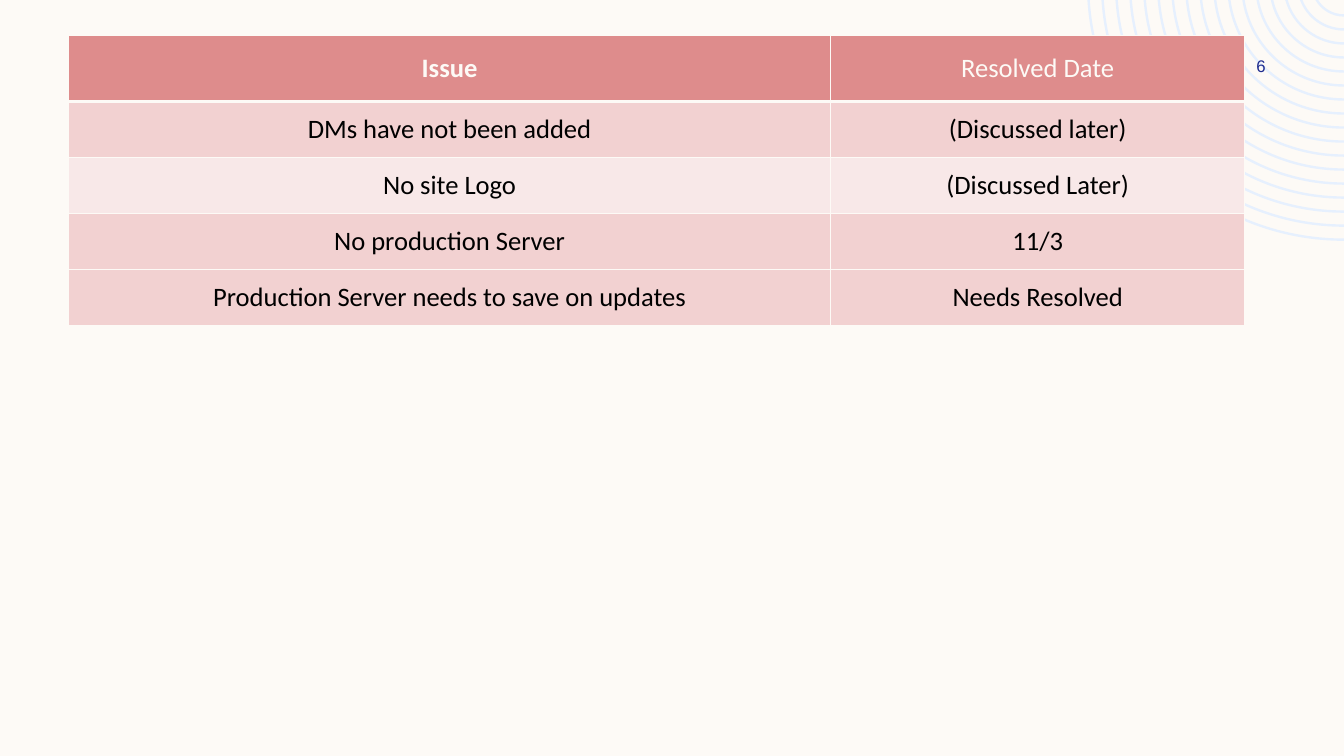
from math import asin, cos, pi, sin, tan

from lxml.etree import SubElement
from pptx import Presentation
from pptx.dml.color import RGBColor
from pptx.enum.text import MSO_ANCHOR as Anchor, PP_ALIGN as Align
from pptx.oxml.ns import qn
from pptx.util import Cm, Pt

CREAM = RGBColor(0xFD, 0xFA, 0xF6)
ROSE = RGBColor(0xDE, 0x8C, 0x8C)
PINK = RGBColor(0xF2, 0xD1, 0xD1)
BLUSH = RGBColor(0xF8, 0xE8, 0xE8)
SKY = RGBColor(0xE6, 0xF0, 0xFE)
NAVY = RGBColor(0x1F, 0x2C, 0x8F)
BLACK = RGBColor(0, 0, 0)

ROWS = [
    ("Issue", "Resolved Date"),
    ("DMs have not been added", "(Discussed later)"),
    ("No site Logo", "(Discussed Later)"),
    ("No production Server", "11/3"),
    ("Production Server needs to save on updates", "Needs Resolved"),
]


def write(frame, text, font="Calibri", size=19, color=BLACK, bold=False):
    par = frame.paragraphs[0]
    par.alignment = Align.CENTER
    run = par.add_run()
    run.text = text
    run.font.name = font
    run.font.size = Pt(size)
    run.font.bold = bold
    run.font.color.rgb = color


def edge(cell, side, width):
    line = SubElement(cell._tc.get_or_add_tcPr(), qn(f"a:ln{side}"), w=str(Pt(width)))
    fill = SubElement(line, qn("a:solidFill"))
    SubElement(fill, qn("a:srgbClr"), val=str(CREAM))


def arc(x, y, r):
    turn = asin(-y / r)
    pull = r * 4 / 3 * tan((pi / 2 - turn) / 4)
    left, low = x - r * cos(turn), y + r * sin(turn)
    spots = [(left, low), (left + pull * sin(turn), low + pull * cos(turn)),
             (x - pull, y + r), (x, y + r)]
    return [(Cm(a), Cm(b)) for a, b in spots]


def bend(shape):
    for start in list(shape._element.iter(qn("a:moveTo"))):
        lines = list(start.itersiblings(qn("a:lnTo")))[:7]
        for trio in (lines[:3], lines[4:]):
            curve = trio[0].makeelement(qn("a:cubicBezTo"))
            trio[0].addprevious(curve)
            for line in trio:
                curve.append(line[0])
                line.getparent().remove(line)


class Page:
    def __init__(self, deck):
        self.slide = deck.slides.add_slide(deck.slide_layouts[6])
        self.shapes = self.slide.shapes
        back = self.slide.background.fill
        back.solid()
        back.fore_color.rgb = CREAM

    def rings(self, x, y, least, most, count, thick):
        step = (most - least) / (count - 1)
        radii = [most - n * step for n in range(count)]
        bands = [arc(x, y, r) + arc(x, y, r - thick)[::-1] for r in radii]
        pen = self.shapes.build_freeform(*bands[0][0])
        for n, band in enumerate(bands):
            if n:
                pen.move_to(*band[0])
            pen.add_line_segments(band[1:], close=True)
        shape = pen.convert_to_shape()
        bend(shape)
        shape.shadow.inherit = False
        shape.fill.solid()
        shape.fill.fore_color.rgb = SKY
        shape.line.fill.background()

    def table(self, x, y, widths, heights, rows):
        frame = self.shapes.add_table(
            len(rows), len(widths), Cm(x), Cm(y), Cm(sum(widths)), Cm(sum(heights)))
        grid = frame.table
        for col, width in zip(grid.columns, widths):
            col.width = Cm(width)
        for n, (row, height) in enumerate(zip(rows, heights)):
            grid.rows[n].height = Cm(height)
            for m, text in enumerate(row):
                self.cell(grid.cell(n, m), text, n, m)

    def cell(self, cell, text, n, m):
        head = n == 0
        cell.vertical_anchor = Anchor.MIDDLE
        cell.margin_left = cell.margin_right = Cm(0.28)
        cell.margin_top = cell.margin_bottom = Cm(0.13)
        for side in "LRT":
            edge(cell, side, 3 if side == "T" and n == 1 else 1)
        edge(cell, "B", 3 if head else 1)
        cell.fill.solid()
        cell.fill.fore_color.rgb = ROSE if head else BLUSH if n == 2 else PINK
        write(cell.text_frame, text, color=CREAM if head else BLACK,
              bold=head and m == 0)

    def label(self, x, y, width, height, text, **style):
        frame = self.shapes.add_textbox(Cm(x), Cm(y), Cm(width), Cm(height)).text_frame
        frame.word_wrap = True
        frame.vertical_anchor = Anchor.MIDDLE
        write(frame, text, **style)


def main():
    deck = Presentation()
    deck.slide_width, deck.slide_height = Cm(33.87), Cm(19.05)
    page = Page(deck)
    page.rings(33.87, -0.41, least=0.83, most=6.48, count=17, thick=0.06)
    page.table(1.73, 0.89, [19.2, 10.44], [1.67] + [1.41] * 4, ROWS)
    page.label(30.41, 1.27, 2.74, 0.76, "6", font="Arial", size=12, color=NAVY)
    deck.save("out.pptx")


if __name__ == "__main__":
    main()
